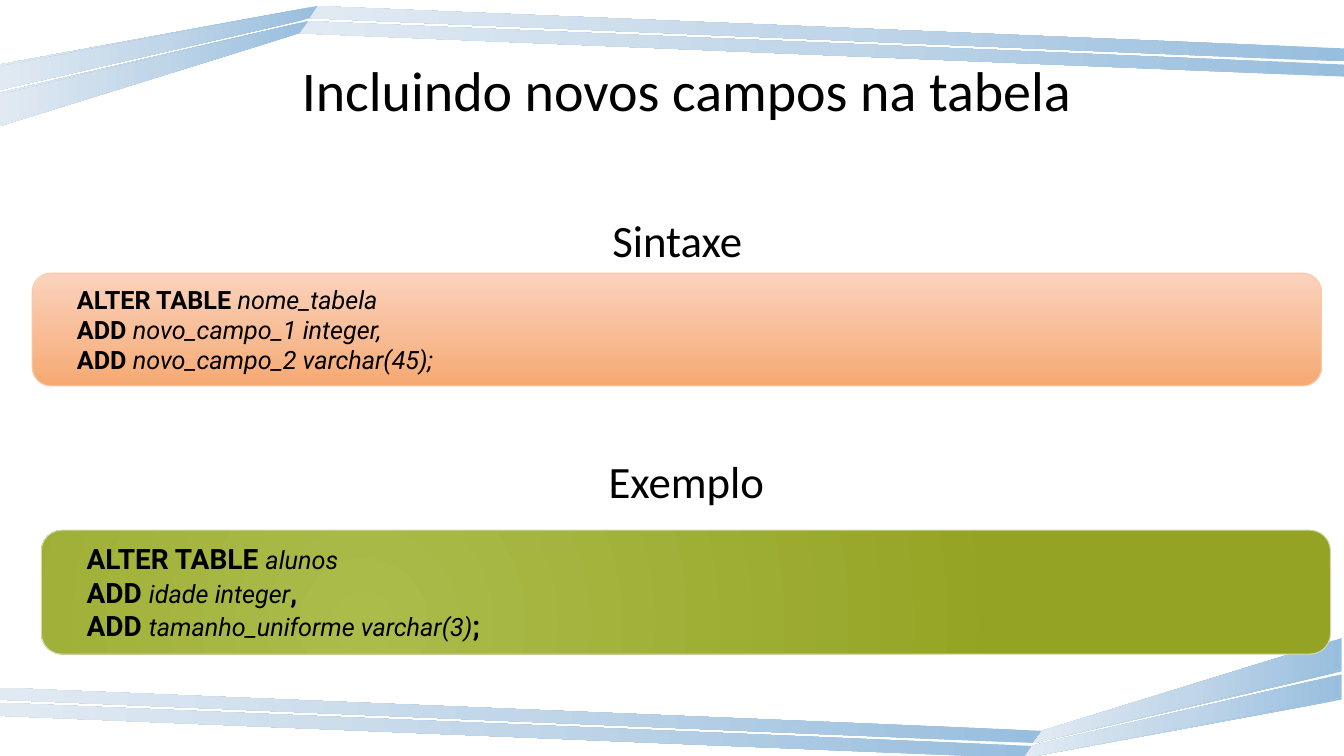
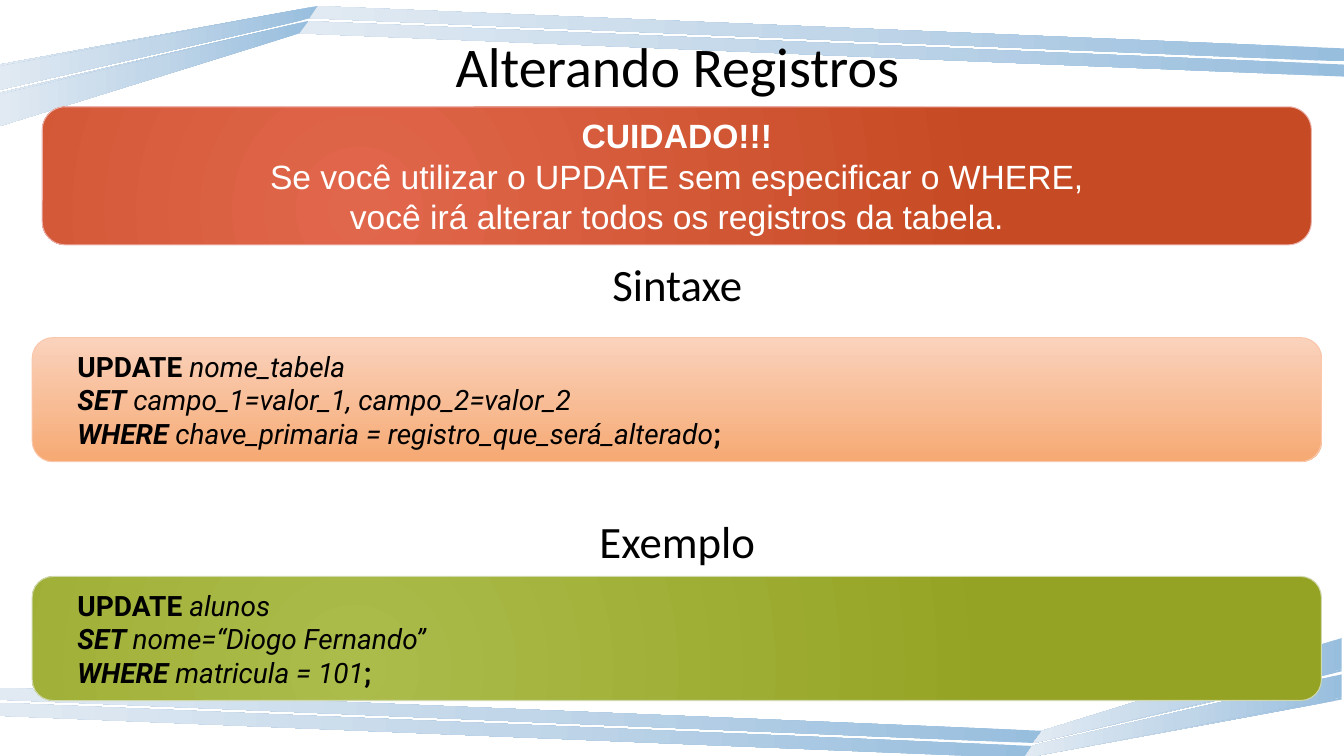
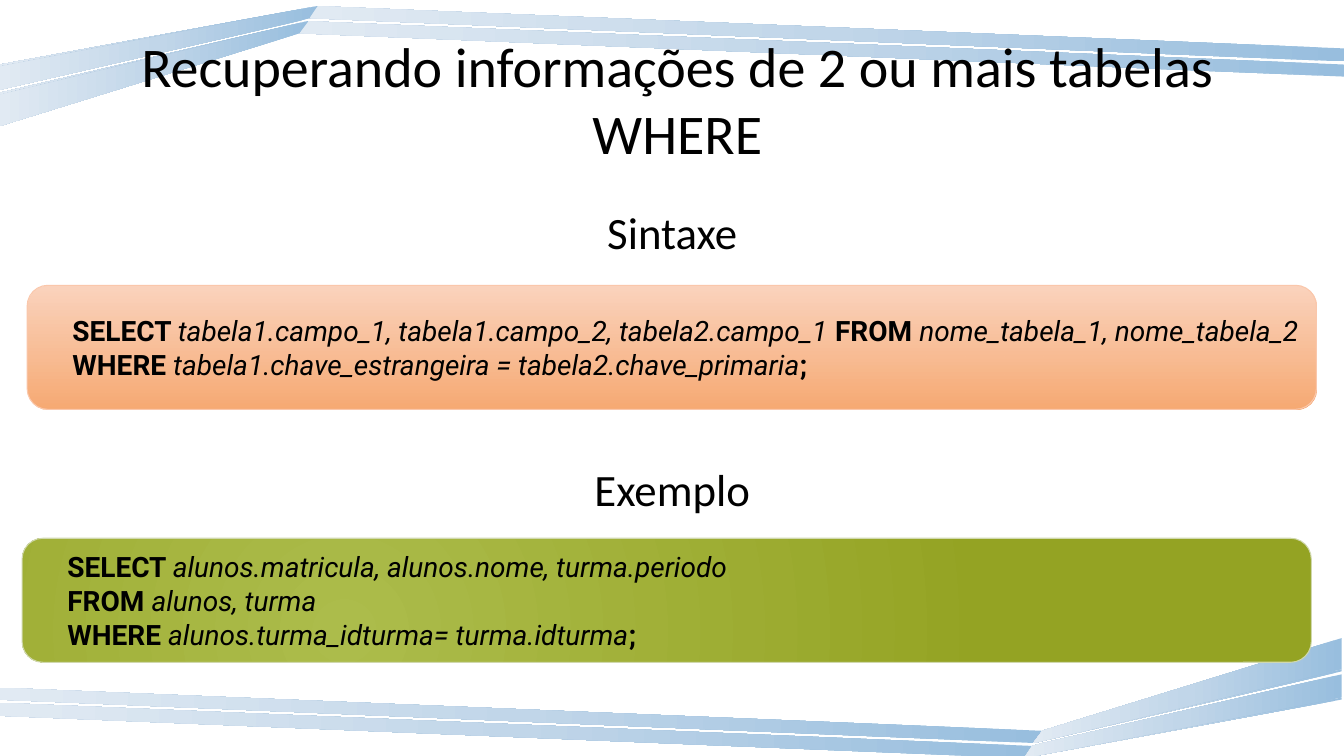
import pptx
import pptx.dml.color
import pptx.enum.shapes
import pptx.enum.text
import pptx.oxml
import pptx.oxml.ns
import pptx.util

Pt = pptx.util.Pt
PP_ALIGN = pptx.enum.text.PP_ALIGN
ANCHOR = pptx.enum.text.MSO_ANCHOR

COLORS = {
    "text": "000000", "light_text": "FFFFFF",
    "band_dark": "98BEDE", "band_mid": "C1D6E9", "band_light": "E1EAF3",
    "syntax_top": "FBD2BB", "syntax_bottom": "F7AA73", "syntax_line": "FAC7AB",
    "example_in": "ACBC4B", "example_out": "94A323", "example_line": "D0D8AD",
    "warning_in": "E1674C", "warning_out": "C64A23", "warning_line": "ECB3AD",
}
TITLE_FONT, CODE_FONT, WARNING_FONT = "Calibri", "Roboto", "Arial"
SLIDE_W, SLIDE_H = 960, 540
TITLE_W, TITLE_H = 894.2, 67.7
PANEL_W, PANEL_H = 920.9, 88.6
HEADING_W, HEADING_H = 260.6, 58.3

LINEAR_DOWN = '<a:lin ang="5400000" scaled="0"/>'
LINEAR_LEFT = '<a:lin ang="10800000" scaled="0"/>'
RADIAL = ('<a:path path="circle"><a:fillToRect l="50000" t="100000" '
          'r="100000" b="50000"/></a:path>')

# Each panel style: gradient stops (position, colour, opacity), direction, line
BAND_STOPS = [(0, "band_dark", 100), (50, "band_mid", 100), (100, "band_light", 100)]
SYNTAX = ([(0, "syntax_top", 96), (100, "syntax_bottom", 100)], LINEAR_DOWN, "syntax_line")
EXAMPLE = ([(0, "example_in", 100), (100, "example_out", 100)], RADIAL, "example_line")
WARNING = ([(0, "warning_in", 100), (100, "warning_out", 100)], RADIAL, "warning_line")

TOP_BANDS = [
    [(220.3, 15.1), (213.8, 23.8), (960, 54.7), (960, 46.1)],
    [(960, 43.9), (960, 34.6), (226.8, 4.3), (221, 13)],
    [(226.8, 4.3), (0, 46.1), (0, 47.5)],
    [(219.6, 15.1), (0, 66.2), (0, 67.7)],
    [(219.6, 15.1), (0, 67.7), (0, 90), (213.8, 23.8), (220.3, 15.1)],
    [(0, 64.1), (213.1, 15.1), (221, 13), (226.8, 4.3), (0, 47.5)],
]
# Turning the top bands by half a turn gives the bottom bands
TURN_X, TURN_Y = 958.3, 545.8


def rgb(name):
    return pptx.dml.color.RGBColor.from_string(COLORS[name])


def set_gradient(sp, stops, direction):
    stop_xml = "".join(
        f'<a:gs pos="{pos * 1000}"><a:srgbClr val="{COLORS[color]}">'
        f'<a:alpha val="{opacity * 1000}"/></a:srgbClr></a:gs>'
        for pos, color, opacity in stops)
    grad = pptx.oxml.parse_xml(
        f'<a:gradFill {pptx.oxml.ns.nsdecls("a")} rotWithShape="1">'
        f'<a:gsLst>{stop_xml}</a:gsLst>{direction}</a:gradFill>')
    sp.fill.solid()
    solid = sp.element.spPr.find(pptx.oxml.ns.qn("a:solidFill"))
    solid.getparent().replace(solid, grad)


def set_font(font, name, size, color="text"):
    font.name, font.size = name, Pt(size)
    font.color.rgb = rgb(color)


def add_bands(layout, slide):
    """Draw the bands on the slide, then move them behind all else on the layout."""
    bottom = [[(TURN_X - x, TURN_Y - y) for x, y in band] for band in TOP_BANDS]
    for i, band in enumerate(TOP_BANDS + bottom):
        points = [(Pt(x), Pt(y)) for x, y in band]
        builder = slide.shapes.build_freeform(*points[0], scale=1.0)
        builder.add_line_segments(points[1:], close=True)
        sp = builder.convert_to_shape()
        sp.shadow.inherit = False
        set_gradient(sp, BAND_STOPS, LINEAR_LEFT)
        sp.line.fill.background()
        layout.element.cSld.spTree.insert(2 + i, sp.element)


def add_titled_slide(prs, layout, title, x=36.7, y=18.7, height=TITLE_H):
    slide = prs.slides.add_slide(layout)
    sp = slide.shapes.title
    sp.left, sp.top, sp.width, sp.height = Pt(x), Pt(y), Pt(TITLE_W), Pt(height)
    tf = sp.text_frame
    tf.text = title
    tf.auto_size = pptx.enum.text.MSO_AUTO_SIZE.NONE
    tf.vertical_anchor = ANCHOR.TOP
    for p in tf.paragraphs:
        p.alignment = PP_ALIGN.CENTER
        set_font(p.font, TITLE_FONT, 40)
    return slide


def add_heading(slide, text, x, y):
    tf = slide.shapes.add_textbox(Pt(x), Pt(y), Pt(HEADING_W), Pt(HEADING_H)).text_frame
    tf.word_wrap = True
    p = tf.paragraphs[0]
    p.text = text
    p.alignment = PP_ALIGN.CENTER
    set_font(p.font, TITLE_FONT, 32)


def add_panel(slide, style, x, y, width=PANEL_W, height=PANEL_H):
    stops, direction, line = style
    sp = slide.shapes.add_shape(pptx.enum.shapes.MSO_SHAPE.ROUNDED_RECTANGLE,
                                Pt(x), Pt(y), Pt(width), Pt(height))
    sp.shadow.inherit = False
    set_gradient(sp, stops, direction)
    sp.line.color.rgb = rgb(line)
    sp.line.width = Pt(0.75)
    tf = sp.text_frame
    tf.word_wrap = True
    tf.vertical_anchor = ANCHOR.MIDDLE
    return tf


def add_code(slide, style, x, y, lines, height=PANEL_H, sizes=(20, 20), slanted=()):
    """Each line alternates bold keywords and italic arguments; sizes follow that order."""
    tf = add_panel(slide, style, x, y, height=height)
    tf.margin_left = Pt(28)
    for i, line in enumerate(lines):
        p = tf.paragraphs[0] if i == 0 else tf.add_paragraph()
        p.alignment = PP_ALIGN.LEFT
        set_font(p.font, CODE_FONT, sizes[0])
        for j, text in enumerate(line):
            is_argument = j % 2 == 1
            r = p.add_run()
            r.text = text
            set_font(r.font, CODE_FONT, sizes[is_argument])
            r.font.bold = not is_argument
            r.font.italic = is_argument or text.strip() in slanted


def add_warning(slide, lines):
    tf = add_panel(slide, WARNING, 30.2, 76.3, 906.5, 98.6)
    tf.text = "\n".join(lines)
    for i, p in enumerate(tf.paragraphs):
        p.alignment = PP_ALIGN.CENTER
        set_font(p.font, WARNING_FONT, 24, "light_text")
        p.font.bold = i == 0


def main():
    prs = pptx.Presentation()
    prs.slide_width, prs.slide_height = Pt(SLIDE_W), Pt(SLIDE_H)
    layout = prs.slide_layouts[5]

    slide = add_titled_slide(prs, layout, "Incluindo novos campos na tabela", 43.2, 36)
    add_bands(layout, slide)
    add_code(slide, SYNTAX, 23, 195.1, [
        ("ALTER TABLE ", "nome_tabela"),
        ("ADD ", "novo_campo_1 integer,"),
        ("ADD", " novo_campo_2 varchar(45);"),
    ], height=80.6, sizes=(18, 18))
    add_heading(slide, "Sintaxe", 353.5, 148.3)
    add_code(slide, EXAMPLE, 29.5, 378.7, [
        ("ALTER TABLE ", "alunos"),
        ("ADD ", "idade integer", ","),
        ("ADD ", "tamanho_uniforme varchar(3)", ";"),
    ], sizes=(20, 18))
    add_heading(slide, "Exemplo", 360, 320.4)

    slide = add_titled_slide(prs, layout, "Alterando Registros")
    add_code(slide, SYNTAX, 23, 241.2, [
        ("UPDATE ", "nome_tabela"),
        ("SET", " campo_1=valor_1, campo_2=valor_2"),
        ("WHERE ", "chave_primaria = registro_que_será_alterado", ";"),
    ], slanted=("SET", "WHERE"))
    add_heading(slide, "Sintaxe", 353.5, 180)
    add_code(slide, EXAMPLE, 23, 411.8, [
        ("UPDATE ", "alunos"),
        ("SET ", "nome=“Diogo Fernando”"),
        ("WHERE ", "matricula = 101", ";"),
    ], slanted=("SET", "WHERE"))
    add_heading(slide, "Exemplo", 353.5, 363.6)
    add_warning(slide, [
        "CUIDADO!!!",
        "Se você utilizar o UPDATE sem especificar o WHERE,",
        "você irá alterar todos os registros da tabela.",
    ])

    slide = add_titled_slide(
        prs, layout, "Recuperando informações de 2 ou mais tabelas\nWHERE", height=103.7)
    add_code(slide, SYNTAX, 19.4, 203.8, [
        ("SELECT ", "tabela1.campo_1, tabela1.campo_2, tabela2.campo_1 ",
         "FROM ", "nome_tabela_1, nome_tabela_2"),
        ("WHERE ", "tabela1.chave_estrangeira = tabela2.chave_primaria", ";"),
    ])
    add_heading(slide, "Sintaxe", 349.9, 142.6)
    add_code(slide, EXAMPLE, 15.8, 384.5, [
        ("SELECT ", "alunos.matricula, alunos.nome, turma.periodo"),
        ("FROM ", "alunos, turma"),
        ("WHERE ", "alunos.turma_idturma= turma.idturma", ";"),
    ])
    add_heading(slide, "Exemplo", 349.9, 326.2)

    prs.save("out.pptx")


if __name__ == "__main__":
    main()
